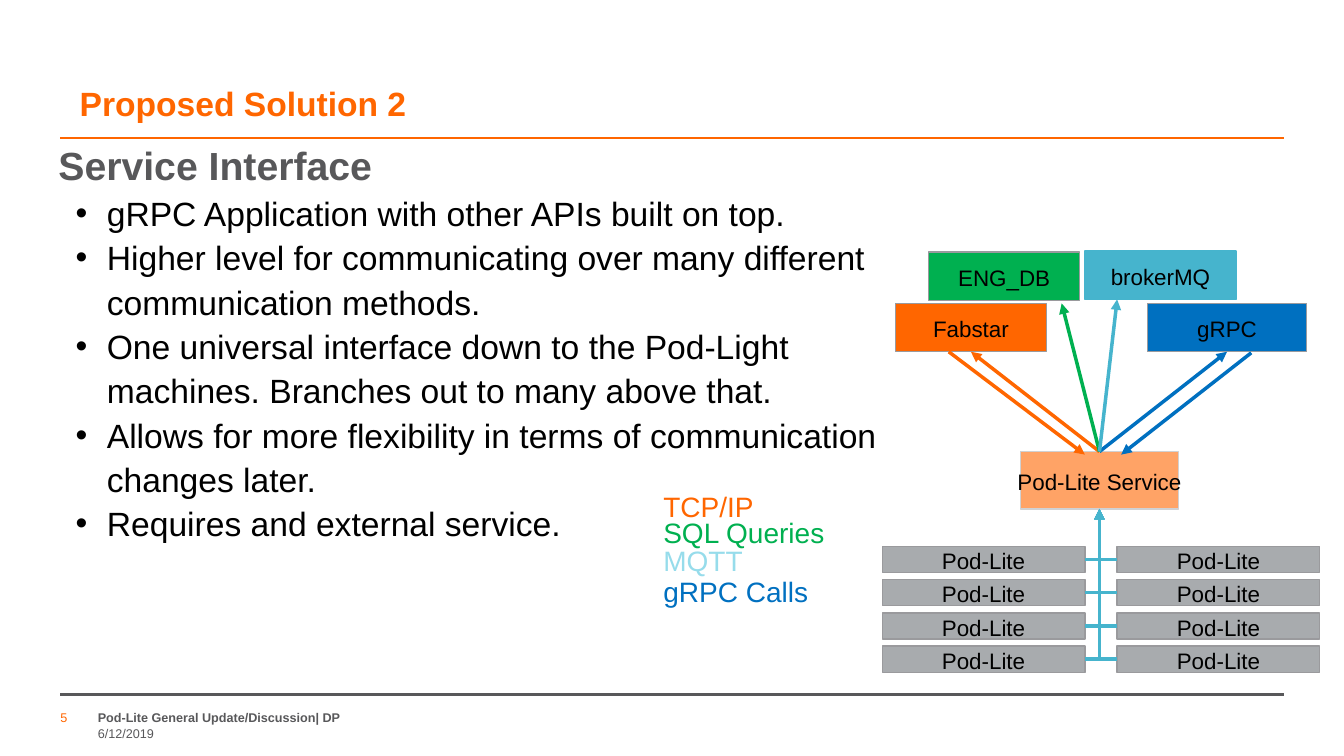
from typing import NamedTuple

from lxml import etree
from pptx import Presentation
from pptx.dml.color import RGBColor
from pptx.enum.shapes import MSO_CONNECTOR, MSO_SHAPE
from pptx.enum.text import MSO_ANCHOR, MSO_AUTO_SIZE, PP_ALIGN
from pptx.oxml.ns import qn
from pptx.util import Emu, Pt

PX = 9144  # 100 px to the inch
LEFT, CENTER = PP_ALIGN.LEFT, PP_ALIGN.CENTER
TOP, MIDDLE, BOTTOM = MSO_ANCHOR.TOP, MSO_ANCHOR.MIDDLE, MSO_ANCHOR.BOTTOM
STRAIGHT, ELBOW = MSO_CONNECTOR.STRAIGHT, MSO_CONNECTOR.ELBOW
SIDE_TOP, SIDE_LEFT, SIDE_BOTTOM, SIDE_RIGHT = range(4)

COLORS = {
    "orange": "FF6600", "peach": "FFA366", "green": "00B050", "blue": "0070C0",
    "teal": "46B4CD", "aqua": "96DCEB", "slate": "58585A", "gray": "A8ABAE",
    "edge": "9A9A9D", "pale": "D0D1D3", "black": "000000",
}
NO_INSETS = {"margin_left": 0, "margin_top": 0, "margin_right": 0, "margin_bottom": 0}


class Box(NamedTuple):
    text: str
    x: int
    y: int
    w: int
    h: int
    fill: str
    edge: str = "edge"


class Label(NamedTuple):
    text: str
    x: int
    y: int
    w: int
    h: int
    size: int
    color: str
    bold: bool = False
    anchor: MSO_ANCHOR = TOP


class Arrow(NamedTuple):
    color: str
    start: tuple[int, int]
    end: tuple[int, int]
    from_service: bool = False
    target: str = ""


SERVICE = Box("Pod-Lite Service", 1012, 448, 157, 57, "peach", "pale")
ENDPOINTS = [
    Box("Fabstar", 888, 301, 150, 48, "orange"),
    Box("ENG_DB", 921, 250, 150, 48, "green"),
    Box("gRPC", 1138, 301, 158, 48, "blue"),
    Box("brokerMQ", 1076, 249, 150, 48, "teal", "teal"),
]
HUB = (1091, 448)
ARROWS = [
    Arrow("orange", HUB, (962, 349), True, "Fabstar"),
    Arrow("blue", HUB, (1217, 349), True, "gRPC"),
    Arrow("green", HUB, (1053, 301), True),
    Arrow("orange", (941, 349), (1076, 451)),
    Arrow("blue", (1241, 350), (1112, 451)),
    Arrow("teal", HUB, (1108, 297), True),
]
MACHINE_COLUMNS = [(875, SIDE_RIGHT), (1108, SIDE_LEFT)]
MACHINE_W, MACHINE_H = 201, 26
MACHINE_TOP, MACHINE_STEP, MACHINE_ROWS = 542, 33, 4

LEGEND = [
    Label(text, 648, y, 195, 47, 20, color)
    for text, y, color in [
        ("TCP/IP", 477, "orange"), ("SQL Queries", 503, "green"),
        ("MQTT", 531, "aqua"), ("gRPC Calls", 562, "blue"),
    ]
]
FOOTER = [
    Label("Pod-Lite General Update/Discussion| DP", 97, 701, 916, 18, 9, "slate", True, BOTTOM),
    Label("6/12/2019", 97, 720, 916, 18, 9, "slate"),
    Label("5", 60, 701, 32, 18, 9, "orange", False, BOTTOM),
]
RULES = [("orange", 137), ("slate", 689)]
BULLETS = [
    "gRPC Application with other APIs built on top.",
    "Higher level for communicating over many different communication methods.",
    "One universal interface down to the Pod-Light machines. Branches out to many above that.",
    "Allows for more flexibility in terms of communication changes later.",
    "Requires and external service.",
]


def px(*values: int) -> list[Emu]:
    return [Emu(v * PX) for v in values]


def rgb(name: str) -> RGBColor:
    return RGBColor.from_string(COLORS[name])


def apply(target, formats: dict) -> None:
    for name, value in formats.items():
        setattr(target, name, value)


def write(p, text: str, size: int, color: str, bold: bool = False,
          align: PP_ALIGN = LEFT, spacing: float = 1.1) -> None:
    apply(p, {"alignment": align, "line_spacing": spacing})
    r = p.add_run()
    r.text = text
    apply(r.font, {"name": "Arial", "size": Pt(size), "bold": bold})
    r.font.color.rgb = rgb(color)


def add_box(slide, box: Box):
    sp = slide.shapes.add_shape(MSO_SHAPE.RECTANGLE, *px(box.x, box.y, box.w, box.h))
    sp.shadow.inherit = False
    sp.fill.solid()
    sp.fill.fore_color.rgb = rgb(box.fill)
    sp.line.color.rgb = rgb(box.edge)
    sp.line.width = Pt(1)
    apply(sp.text_frame, {"word_wrap": False, "vertical_anchor": MIDDLE})
    write(sp.text_frame.paragraphs[0], box.text, 16, "black", align=CENTER)
    return sp


def add_line(slide, kind, start, end, color: str, width: float, arrow: bool = True):
    line = slide.shapes.add_connector(kind, *px(*start, *end))
    line.line.color.rgb = rgb(color)
    line.line.width = Pt(width)
    sp_pr = line._element.spPr
    if arrow:
        etree.SubElement(sp_pr.find(qn("a:ln")), qn("a:tailEnd"), type="triangle")
    if kind == ELBOW:
        sp_pr.find(qn("a:prstGeom")).set("prst", "bentConnector2")
    etree.SubElement(sp_pr, qn("a:effectLst"))
    return line


def add_label(slide, label: Label, spacing: float = 1.1, **formats) -> None:
    tf = slide.shapes.add_textbox(*px(label.x, label.y, label.w, label.h)).text_frame
    apply(tf, {"word_wrap": True, "vertical_anchor": label.anchor, **formats})
    write(tf.paragraphs[0], label.text, label.size, label.color, label.bold, spacing=spacing)


def add_title(slide) -> None:
    sp = slide.shapes.title
    apply(sp, dict(zip(("left", "top", "width", "height"), px(79, 76, 1176, 46))))
    apply(sp.text_frame, {"word_wrap": True, "vertical_anchor": BOTTOM,
                          "auto_size": MSO_AUTO_SIZE.NONE, **NO_INSETS})
    write(sp.text_frame.paragraphs[0], "Proposed Solution 2", 24, "orange", True)


def add_body(slide) -> None:
    tf = slide.shapes.add_textbox(*px(58, 136, 858, 567)).text_frame
    apply(tf, {"word_wrap": True, **NO_INSETS})
    write(tf.paragraphs[0], "Service Interface", 28, "slate", True)
    for text in BULLETS:
        p = tf.add_paragraph()
        p.level = 1
        write(p, text, 24, "black")
        p_pr = p._p.get_or_add_pPr()
        p_pr.set("marL", str(48 * PX))
        p_pr.set("indent", str(-31 * PX))
        etree.SubElement(p_pr, qn("a:buFont"), typeface="Arial")
        etree.SubElement(p_pr, qn("a:buChar"), char="•")


def add_machines(slide, service) -> None:
    """Draw both columns of machines, each wired to the service above."""
    for x, side in MACHINE_COLUMNS:
        inner_x = x + MACHINE_W if side == SIDE_RIGHT else x
        for row in range(MACHINE_ROWS):
            y = MACHINE_TOP + row * MACHINE_STEP
            machine = add_box(slide, Box("Pod-Lite", x, y, MACHINE_W, MACHINE_H, "gray"))
            wire = add_line(slide, ELBOW, (inner_x, y + MACHINE_H // 2), (1091, 505), "teal", 2.5)
            wire.begin_connect(machine, side)
            wire.end_connect(service, SIDE_BOTTOM)


def main() -> None:
    prs = Presentation()
    prs.slide_width, prs.slide_height = px(1333, 750)
    slide = prs.slides.add_slide(prs.slide_layouts[5])
    for color, y in RULES:
        add_line(slide, STRAIGHT, (60, y), (1273, y), color, 1.5, arrow=False)
    for label in FOOTER:
        add_label(slide, label, spacing=1.0, **NO_INSETS)
    add_title(slide)
    add_body(slide)

    service = add_box(slide, SERVICE)
    add_machines(slide, service)
    endpoints = {box.text: add_box(slide, box) for box in ENDPOINTS}
    for arrow in ARROWS:
        line = add_line(slide, STRAIGHT, arrow.start, arrow.end, arrow.color, 2.5)
        if arrow.from_service:
            line.begin_connect(service, SIDE_TOP)
        if arrow.target:
            line.end_connect(endpoints[arrow.target], SIDE_BOTTOM)
    for label in LEGEND:
        add_label(slide, label, auto_size=MSO_AUTO_SIZE.SHAPE_TO_FIT_TEXT)
    prs.save("out.pptx")


if __name__ == "__main__":
    main()
